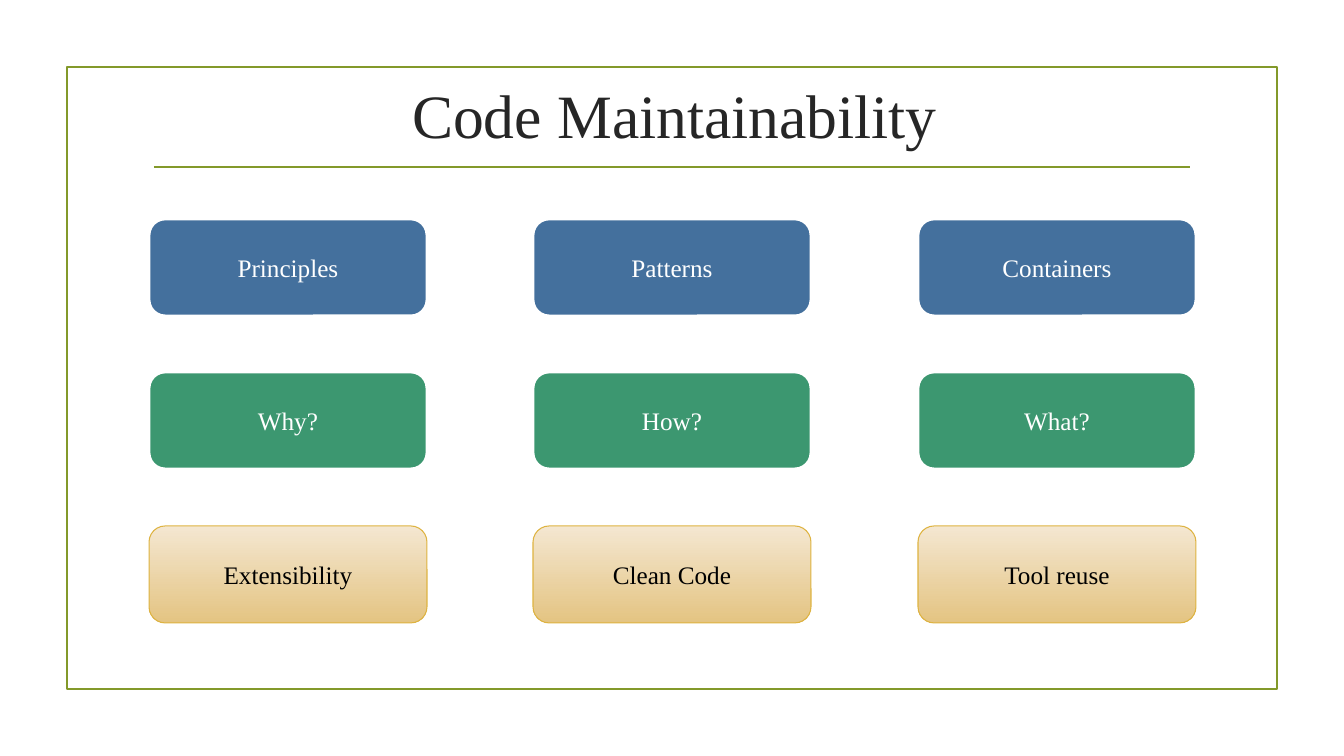
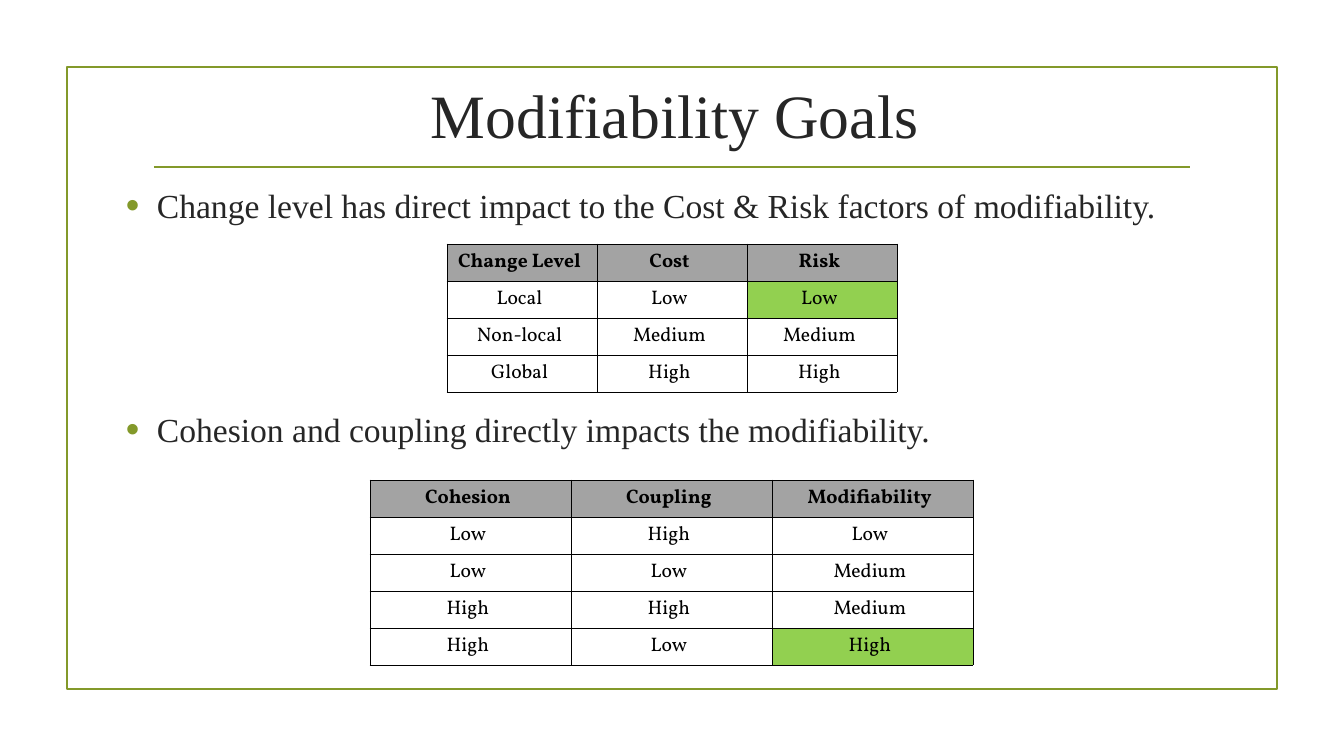
from lxml import etree
from pptx import Presentation
from pptx.dml.color import RGBColor
from pptx.enum.shapes import MSO_CONNECTOR, MSO_SHAPE
from pptx.enum.text import MSO_ANCHOR, PP_ALIGN
from pptx.oxml.ns import qn
from pptx.util import Pt

LINE = MSO_CONNECTOR.STRAIGHT
RECT = MSO_SHAPE.RECTANGLE
ROUND = MSO_SHAPE.ROUNDED_RECTANGLE
MIDDLE = MSO_ANCHOR.MIDDLE
CENTER = PP_ALIGN.CENTER
LEFT = PP_ALIGN.LEFT

SERIF = "Times New Roman"
GRID = "Vollkorn"
COLORS = {
    "olive": "83992A", "ink": "262626", "black": "000000", "white": "FFFFFF",
    "blue": "44709D", "green": "3C9770", "gold": "DEB340",
    "cream": "F4E7D1", "sand": "E4C482", "gray": "A3A3A3", "lime": "92D050",
}


def px(count):
    return round(count * 914400 / 100.8)


def rgb(name):
    return RGBColor.from_string(COLORS[name])


def add(parent, tag, **attrs):
    node = etree.SubElement(parent, qn(tag))
    for key, value in attrs.items():
        node.set(key, str(value))
    return node


class Deck:
    def __init__(self):
        self.prs = Presentation()
        self.prs.slide_width, self.prs.slide_height = px(1344), px(756)
        self.slide = None

    def start(self, title):
        """Add a slide with its frame, rule and title."""
        self.slide = self.prs.slides.add_slide(self.prs.slide_layouts[6])
        frame = self.shape(RECT, 67, 67, 1210, 622, "olive", 1.25)
        frame.fill.background()
        self.rule(154, 1190, 167)
        box = self.slide.shapes.add_textbox(px(116), px(69), px(1118), px(89))
        box.text_frame.word_wrap = True
        box.text_frame.vertical_anchor = MIDDLE
        self.label(box.text_frame.paragraphs[0], title, 44, "ink")

    def label(self, para, text, size, color, face=SERIF, bold=False, align=CENTER):
        para.text = text
        para.alignment = align
        font = para.font
        font.name, font.size, font.bold = face, Pt(size), bold
        font.color.rgb = rgb(color)

    def shape(self, kind, x, y, w, h, edge, weight):
        shape = self.slide.shapes.add_shape(kind, px(x), px(y), px(w), px(h))
        shape.shadow.inherit = False
        shape.line.color.rgb = rgb(edge)
        shape.line.width = Pt(weight)
        return shape

    def rule(self, left, right, y):
        line = self.slide.shapes.add_connector(LINE, px(left), px(y), px(right), px(y))
        line.line.color.rgb = rgb("olive")
        line.line.width = Pt(1.25)
        add(line._element.spPr, "a:effectLst")

    def card(self, x, y, text, fills, edge, weight, ink):
        """Draw a rounded box; two fills make a vertical gradient."""
        card = self.shape(ROUND, x, y, 278, 97, edge, weight)
        if len(fills) == 1:
            card.fill.solid()
            card.fill.fore_color.rgb = rgb(fills[0])
        else:
            card.fill.gradient()
            card.fill.gradient_angle = 270
            for stop, name in zip(card.fill.gradient_stops, fills):
                stop.color.rgb = rgb(name)
        card.text_frame.vertical_anchor = MIDDLE
        self.label(card.text_frame.paragraphs[0], text, 18, ink)

    def bullets(self, x, y, w, h, items, gap):
        frame = self.slide.shapes.add_textbox(px(x), px(y), px(w), px(h)).text_frame
        frame.word_wrap = True
        for i, text in enumerate(items):
            para = frame.add_paragraph() if i else frame.paragraphs[0]
            if i:
                para.space_before = Pt(gap)
            props = para._p.get_or_add_pPr()
            props.set("marL", str(px(31)))
            props.set("indent", str(-px(31)))
            add(add(props, "a:buClr"), "a:srgbClr", val=COLORS["olive"])
            add(props, "a:buSzPct", val=115000)
            add(props, "a:buFont", typeface="Arial")
            add(props, "a:buChar", char="•")
            self.label(para, text, 24, "ink", align=LEFT)

    def table(self, x, y, width, rows, best):
        """Draw a grid with a gray head row and the best cell in lime."""
        high, wide = len(rows), len(rows[0])
        table = self.slide.shapes.add_table(
            high, wide, px(x), px(y), px(width * wide), px(37 * high)).table
        table.first_row = table.horz_banding = False
        for column in table.columns:
            column.width = px(width)
        for r, row in enumerate(rows):
            table.rows[r].height = px(37)
            for c, text in enumerate(row):
                fill = "gray" if r == 0 else "lime" if (r, c) == best else None
                self.cell(table.cell(r, c), text, fill, r == 0)

    def cell(self, cell, text, fill, bold):
        cell.vertical_anchor = MIDDLE
        cell.margin_left, cell.margin_right = px(4), px(9)
        props = cell._tc.get_or_add_tcPr()
        for side in ("a:lnL", "a:lnR", "a:lnT", "a:lnB"):
            edge = add(props, side, w=Pt(0.5))
            add(add(edge, "a:solidFill"), "a:srgbClr", val=COLORS["black"])
        if fill:
            cell.fill.solid()
            cell.fill.fore_color.rgb = rgb(fill)
        else:
            cell.fill.background()
        self.label(cell.text_frame.paragraphs[0], text, 14, "black", GRID, bold)


def main():
    deck = Deck()

    deck.start("Code Maintainability")
    bands = [
        (("Principles", "Patterns", "Containers"), ("blue",), "white", 2, "white"),
        (("Why?", "How?", "What?"), ("green",), "white", 2, "white"),
        (("Extensibility", "Clean Code", "Tool reuse"),
         ("cream", "sand"), "gold", 0.75, "black"),
    ]
    for r, (labels, *style) in enumerate(bands):
        for c, text in enumerate(labels):
            deck.card(149 + c * 769 // 2, 219 + r * 307 // 2, text, *style)

    deck.start("Modifiability Goals")
    deck.bullets(116, 180, 1118, 471, [
        "Change level has direct impact to the Cost & Risk factors of modifiability.",
        "Cohesion and coupling directly impacts the modifiability.",
    ], 131)
    deck.table(447, 244, 150, [
        ("Change Level", "Cost", "Risk"),
        ("Local", "Low", "Low"),
        ("Non-local", "Medium", "Medium"),
        ("Global", "High", "High"),
    ], (1, 2))
    deck.table(370, 480, 201, [
        ("Cohesion", "Coupling", "Modifiability"),
        ("Low", "High", "Low"),
        ("Low", "Low", "Medium"),
        ("High", "High", "Medium"),
        ("High", "Low", "High"),
    ], (4, 2))

    deck.prs.save("out.pptx")


if __name__ == "__main__":
    main()
